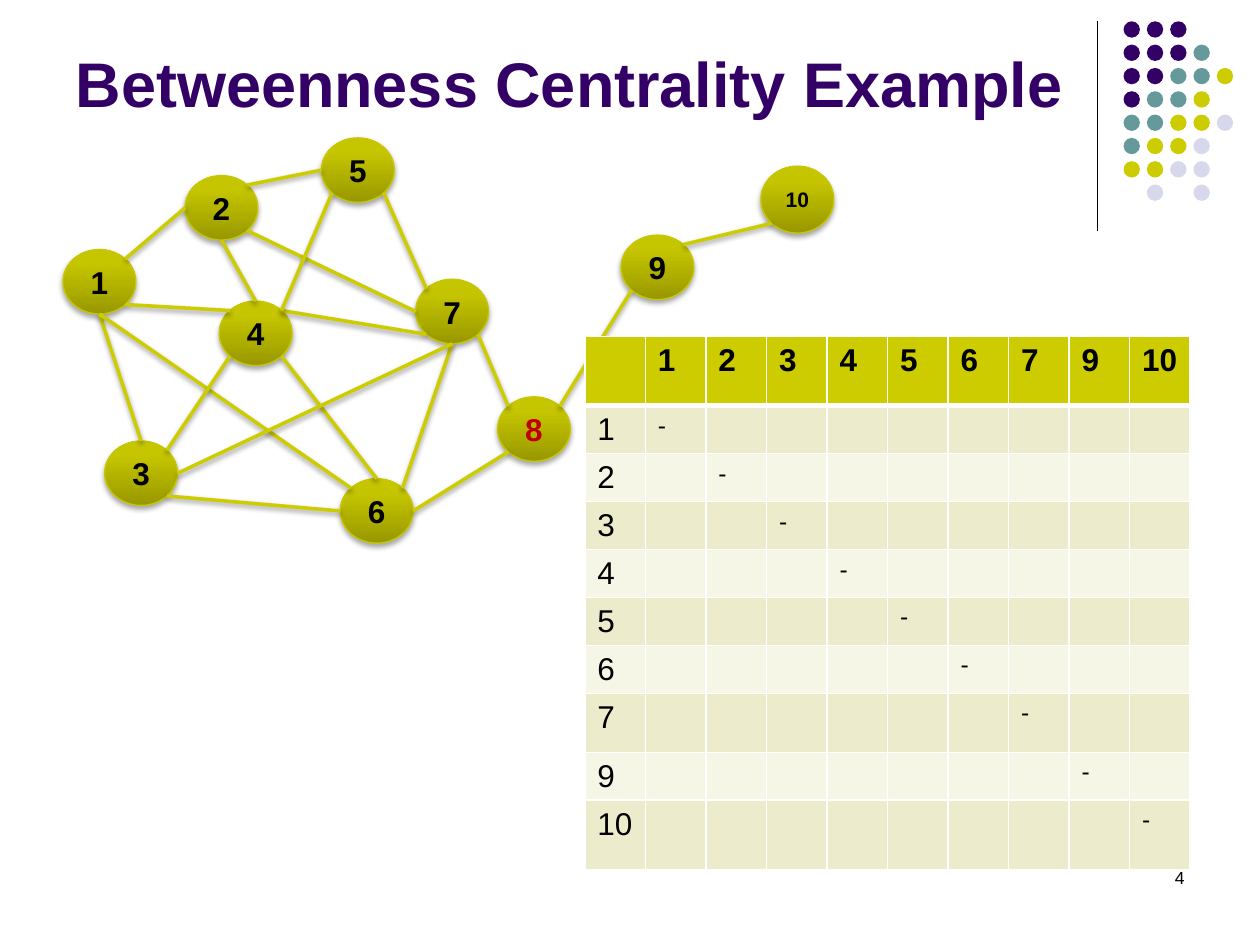
import math

import lxml.etree
import pptx
import pptx.dml.color
import pptx.enum.shapes
import pptx.enum.text
import pptx.oxml.ns
import pptx.util

Cm = pptx.util.Cm
Pt = pptx.util.Pt
RGBColor = pptx.dml.color.RGBColor
qn = pptx.oxml.ns.qn
SHAPE = pptx.enum.shapes.MSO_SHAPE
ALIGN = pptx.enum.text.PP_ALIGN
ANCHOR = pptx.enum.text.MSO_ANCHOR

FONT = "Arial"
BLACK = RGBColor(0x00, 0x00, 0x00)
WHITE = RGBColor(0xFF, 0xFF, 0xFF)
RED = RGBColor(0xC0, 0x00, 0x00)
PURPLE = RGBColor(0x33, 0x00, 0x66)
TEAL = RGBColor(0x66, 0x99, 0x99)
YELLOW = RGBColor(0xCC, 0xCC, 0x00)
LAVENDER = RGBColor(0xD8, 0xD8, 0xEC)
NODE_DARK = RGBColor(0x98, 0x98, 0x00)
NODE_LIGHT = RGBColor(0xC6, 0xC6, 0x00)
NODE_LINE = RGBColor(0xC8, 0xC8, 0x00)
BAND_DARK = RGBColor(0xEC, 0xEC, 0xCC)
BAND_LIGHT = RGBColor(0xF6, 0xF6, 0xE7)

DOT_COLORS = {"P": PURPLE, "T": TEAL, "Y": YELLOW, "L": LAVENDER}
DOT_ROWS = ["PPP", "PPPT", "PPTTY", "PTTY", "TTYYL", "TYYL", "YYLL", " L L"]

# Left and top of each node, in centimetres
NODES = {
    1: (1.27, 5.03), 2: (3.73, 3.54), 3: (2.11, 8.89), 4: (4.42, 6.07),
    5: (6.48, 2.78), 6: (6.86, 9.65), 7: (8.38, 5.63), 10: (15.34, 3.35),
    9: (12.52, 4.74), 8: (10.03, 8.0),
}
# Node, site, node, site; an ellipse has eight sites, counter-clockwise from the top
EDGES = [
    (1, 7, 2, 2), (1, 4, 3, 0), (1, 5, 4, 1), (4, 0, 2, 4), (1, 4, 6, 1),
    (2, 7, 5, 2), (2, 5, 7, 2), (4, 7, 7, 3), (4, 5, 6, 0), (6, 7, 7, 4),
    (5, 5, 7, 1), (7, 5, 8, 1), (6, 6, 8, 3), (8, 7, 9, 3), (9, 7, 10, 3),
    (3, 7, 4, 3), (3, 5, 6, 2), (3, 6, 7, 4), (5, 3, 4, 7),
]
TABLE_LABELS = ["1", "2", "3", "4", "5", "6", "7", "9", "10"]
ROW_HEIGHTS = [1.4] + [0.79] * 6 + [1.19, 0.79, 1.4]


def write_text(frame, text, size=18, color=BLACK, bold=False,
               align=ALIGN.LEFT, anchor=ANCHOR.TOP, wrap=True):
    frame.word_wrap = wrap
    frame.vertical_anchor = anchor
    paragraph = frame.paragraphs[0]
    paragraph.alignment = align
    run = paragraph.add_run()
    run.text = text
    run.font.name = FONT
    run.font.size = Pt(size)
    run.font.bold = bold
    run.font.color.rgb = color


def add_element(parent, tag, **attributes):
    values = {name: str(value) for name, value in attributes.items()}
    return lxml.etree.SubElement(parent, qn(tag), values)


def add_shadow(properties, opacity, distance):
    """Give shape properties a soft black shadow that falls straight down."""
    effects = properties.find(qn("a:effectLst"))
    if effects is None:
        effects = add_element(properties, "a:effectLst")
    shadow = add_element(effects, "a:outerShdw", blurRad=Pt(3.1), dist=Pt(distance),
                         dir=5400000, rotWithShape=0)
    color = add_element(shadow, "a:srgbClr", val=BLACK)
    add_element(color, "a:alpha", val=opacity * 1000)


def site_point(shape, site):
    """Return the place of one of the eight connection sites of an ellipse."""
    angle = math.radians(45 * site)
    x = shape.left + shape.width / 2 * (1 - math.sin(angle))
    y = shape.top + shape.height / 2 * (1 - math.cos(angle))
    return round(x), round(y)


def set_border(cell, side, width):
    line = add_element(cell._tc.get_or_add_tcPr(), f"a:ln{side}", w=Pt(width))
    add_element(add_element(line, "a:solidFill"), "a:srgbClr", val=WHITE)


def set_empty_font(cell, size):
    """Set the font of a cell without text, which decides its least height."""
    paragraph = cell.text_frame.paragraphs[0]
    ending = add_element(paragraph._p, "a:endParaRPr", sz=size * 100)
    add_element(ending, "a:latin", typeface=FONT)


class SlideBuilder:
    def __init__(self, presentation):
        self.slide = presentation.slides.add_slide(presentation.slide_layouts[5])
        self.shapes = self.slide.shapes

    def title(self, text, left, top, width, height):
        title = self.shapes.title
        title.left, title.top, title.width, title.height = map(Cm, (left, top, width, height))
        write_text(title.text_frame, text, size=36, color=PURPLE, bold=True,
                   anchor=ANCHOR.BOTTOM)

    def text(self, text, left, top, width, height, **text_format):
        box = self.shapes.add_textbox(Cm(left), Cm(top), Cm(width), Cm(height))
        write_text(box.text_frame, text, **text_format)

    def ellipse(self, left, top, width, height):
        shape = self.shapes.add_shape(SHAPE.OVAL, Cm(left), Cm(top), Cm(width), Cm(height))
        shape.shadow.inherit = False
        return shape

    def dot(self, left, top, color):
        dot = self.ellipse(left, top, 0.33, 0.33)
        dot.fill.solid()
        dot.fill.fore_color.rgb = color
        dot.line.fill.background()

    def node(self, text, left, top, height=1.3, **text_format):
        node = self.ellipse(left, top, 1.47, height)
        node.fill.gradient()
        node.fill.gradient_angle = 90
        stops = zip(node.fill.gradient_stops, (0, 0.8), (NODE_DARK, NODE_LIGHT))
        for stop, position, color in stops:
            stop.position = position
            stop.color.rgb = color
        node.line.color.rgb = NODE_LINE
        node.line.width = Pt(0.75)
        add_shadow(node._element.spPr, opacity=35, distance=1.8)
        write_text(node.text_frame, text, bold=True, align=ALIGN.CENTER,
                   anchor=ANCHOR.MIDDLE, wrap=False, **text_format)
        return node

    def line(self, start, end, color, width):
        line = self.shapes.add_connector(
            pptx.enum.shapes.MSO_CONNECTOR.STRAIGHT, *start, *end)
        line.line.color.rgb = color
        line.line.width = Pt(width)
        add_element(line._element.spPr, "a:effectLst")
        return line

    def edge(self, first, first_site, second, second_site):
        edge = self.line(site_point(first, first_site), site_point(second, second_site),
                         YELLOW, 2)
        add_shadow(edge._element.spPr, opacity=38, distance=1.6)
        # begin_connect knows only four sites, so the joins are written here
        joins = edge._element.find(".//" + qn("p:cNvCxnSpPr"))
        add_element(joins, "a:stCxn", id=first.shape_id, idx=first_site)
        add_element(joins, "a:endCxn", id=second.shape_id, idx=second_site)

    def matrix(self, labels, left, top, column_width, row_heights):
        """Add a square table with labels on two sides and dashes on its diagonal."""
        count = len(labels) + 1
        table = self.shapes.add_table(count, count, Cm(left), Cm(top),
                                      Cm(column_width * count), Cm(sum(row_heights))).table
        for column in table.columns:
            column.width = Cm(column_width)
        headings = [""] + labels
        for row, height in enumerate(row_heights):
            table.rows[row].height = Cm(height)
            for column in range(count):
                cell = table.cell(row, column)
                for side in "LRTB":
                    under_header = (row, side) in ((0, "B"), (1, "T"))
                    set_border(cell, side, 3 if under_header else 1)
                cell.fill.solid()
                if row == 0:
                    cell.fill.fore_color.rgb = YELLOW
                else:
                    cell.fill.fore_color.rgb = BAND_DARK if row % 2 else BAND_LIGHT
                if row == 0 and column > 0:
                    write_text(cell.text_frame, headings[column], bold=True)
                elif row > 0 and column == 0:
                    write_text(cell.text_frame, headings[row])
                elif row == column > 0:
                    write_text(cell.text_frame, "-", size=14)
                else:
                    set_empty_font(cell, 14)


def main():
    presentation = pptx.Presentation()
    presentation.slide_width = Cm(25.4)
    presentation.slide_height = Cm(19.05)
    builder = SlideBuilder(presentation)

    builder.line((Cm(22.12), Cm(0.43)), (Cm(22.12), Cm(4.65)), BLACK, 0.75)
    for row, letters in enumerate(DOT_ROWS):
        for column, letter in enumerate(letters):
            if letter in DOT_COLORS:
                builder.dot(22.65 + 0.47 * column, 0.43 + 0.47 * row, DOT_COLORS[letter])

    builder.title("Betweenness Centrality Example", 1.27, -1.07, 20.96, 3.61)
    special = {8: {"color": RED}, 10: {"size": 12, "height": 1.35}}
    nodes = {number: builder.node(str(number), left, top, **special.get(number, {}))
             for number, (left, top) in NODES.items()}
    for first, first_site, second, second_site in EDGES:
        builder.edge(nodes[first], first_site, nodes[second], second_site)

    builder.matrix(TABLE_LABELS, 11.79, 6.78, 1.22, ROW_HEIGHTS)
    builder.text("4", 18.21, 17.35, 5.92, 1.27, size=10, align=ALIGN.RIGHT)
    presentation.save("out.pptx")


if __name__ == "__main__":
    main()
